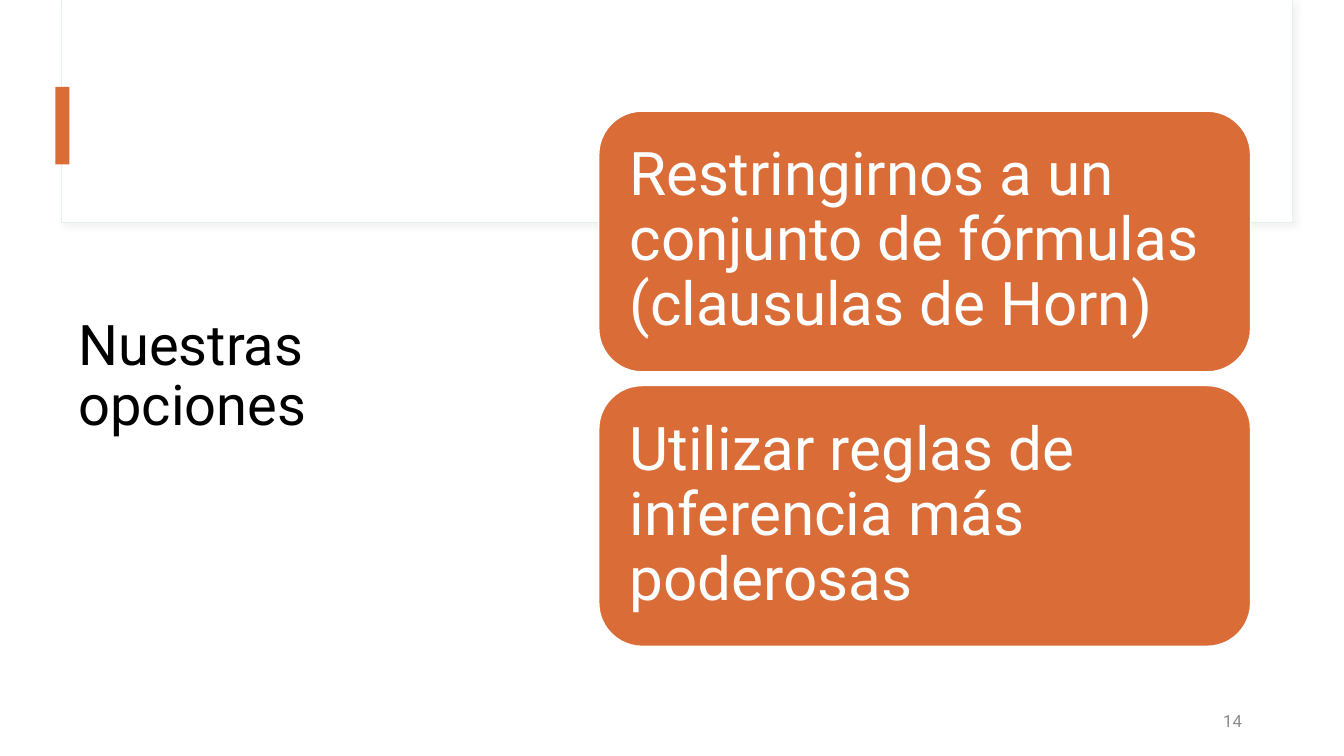
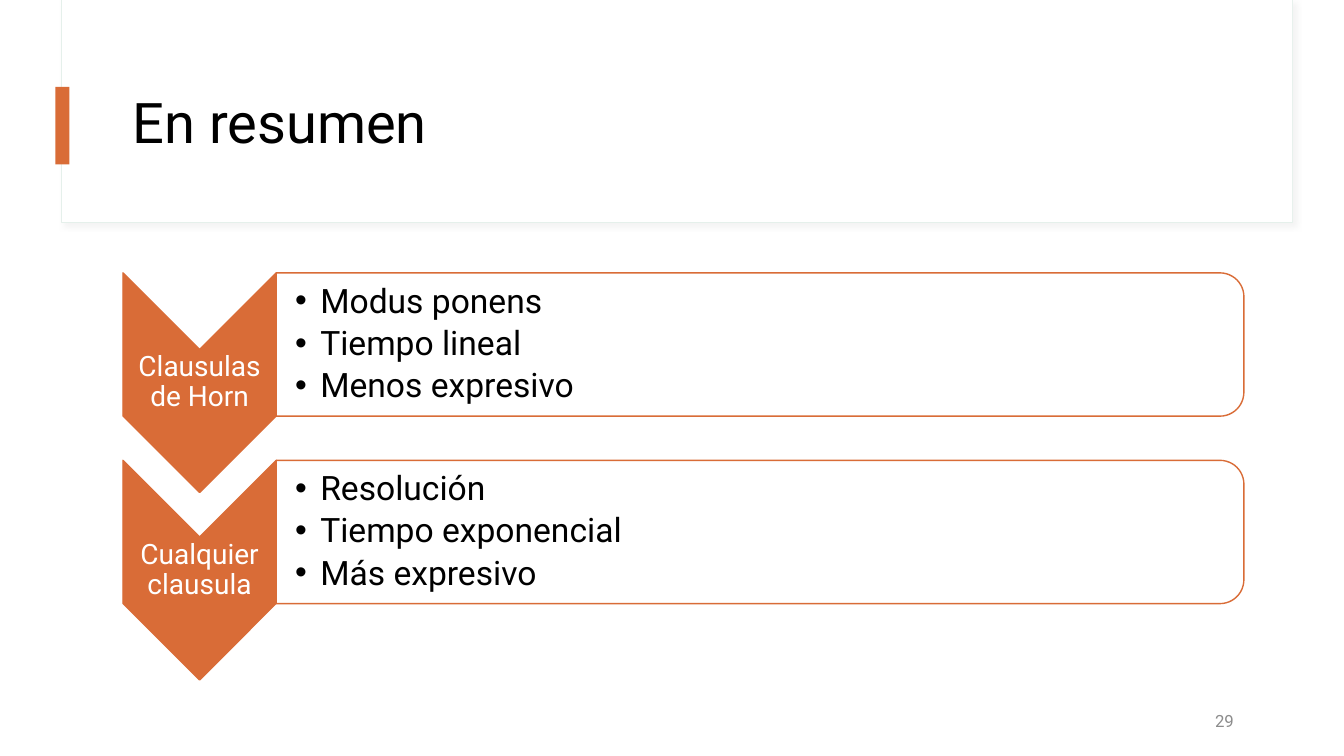
"""Build two slides on Horn clauses and general resolution."""
from lxml.etree import SubElement
from pptx import Presentation
from pptx.dml.color import RGBColor
from pptx.enum.shapes import MSO_SHAPE as SHAPE
from pptx.enum.text import MSO_ANCHOR as ANCHOR, PP_ALIGN as ALIGN
from pptx.oxml.ns import qn
from pptx.util import Inches, Pt

WIDTH, HEIGHT = Inches(13.333), Inches(7.5)
FONT = "Roboto"
ORANGE = RGBColor(0xD9, 0x6C, 0x37)
WHITE = RGBColor(0xFF, 0xFF, 0xFF)
BLACK = RGBColor(0x00, 0x00, 0x00)
GRAY = RGBColor(0x8C, 0x8C, 0x8C)
MINT = RGBColor(0xE5, 0xF0, 0xEB)
SHADOW = "D9D9D9"

OPTIONS = ["Restringirnos a un conjunto de fórmulas (clausulas de Horn)",
           "Utilizar reglas de inferencia más poderosas"]
SUMMARY = [
    ("Clausulas de Horn", ["Modus ponens", "Tiempo lineal", "Menos expresivo"]),
    ("Cualquier clausula", ["Resolución", "Tiempo exponencial", "Más expresivo"]),
]


def place(x, y, w, h):
    return (round(WIDTH * x / 100), round(HEIGHT * y / 100),
            round(WIDTH * w / 100), round(HEIGHT * h / 100))


def add_box(slide, kind, box, fill, line=None, weight=1, turned=False):
    x, y, w, h = place(*box)
    if turned:
        x, y, w, h = x + (w - h) // 2, y + (h - w) // 2, h, w
    sp = slide.shapes.add_shape(kind, x, y, w, h)
    sp.rotation = 90 if turned else 0
    sp.shadow.inherit = False
    sp.fill.solid()
    sp.fill.fore_color.rgb = fill
    if line is None:
        sp.line.fill.background()
    else:
        sp.line.color.rgb = line
        sp.line.width = Pt(weight)
    return sp


def add_shadow(sp):
    effects = sp._element.spPr.find(qn("a:effectLst"))
    outer = SubElement(effects, qn("a:outerShdw"), blurRad=str(Pt(4)),
                       dist=str(Pt(3)), dir="2700000", algn="tl", rotWithShape="0")
    color = SubElement(outer, qn("a:srgbClr"), val=SHADOW)
    SubElement(color, qn("a:alpha"), val="30000")


def add_bullet(p):
    pPr = p._p.get_or_add_pPr()
    pPr.set("marL", str(Inches(0.25)))
    pPr.set("indent", str(-Inches(0.25)))
    SubElement(pPr, qn("a:buFont"), typeface="Arial")
    SubElement(pPr, qn("a:buChar"), char="•")


def add_text(slide, box, lines, size, color, align=ALIGN.LEFT,
             margins=(7.2, 3.6, 7.2, 3.6), spacing=0.9, after=0, bullets=False):
    tf = slide.shapes.add_textbox(*place(*box)).text_frame
    tf.word_wrap = True
    tf.vertical_anchor = ANCHOR.MIDDLE
    tf.margin_left, tf.margin_top, tf.margin_right, tf.margin_bottom = map(Pt, margins)
    for i, line in enumerate(lines):
        p = tf.add_paragraph() if i else tf.paragraphs[0]
        p.alignment = align
        p.line_spacing = spacing
        p.space_after = Pt(after)
        if bullets:
            add_bullet(p)
        r = p.add_run()
        r.text = line
        r.font.name = FONT
        r.font.size = Pt(size)
        r.font.color.rgb = color


def add_page(prs, title, title_box, number, number_right):
    slide = prs.slides.add_slide(prs.slide_layouts[6])
    frame = add_box(slide, SHAPE.RECTANGLE, (4.6, 0, 91.6, 29.45), WHITE, MINT, 0.75)
    add_shadow(frame)
    add_box(slide, SHAPE.RECTANGLE, (4.65, 0, 91.5, 29.33), WHITE)
    add_box(slide, SHAPE.RECTANGLE, (4.12, 11.5, 1.05, 10.25), ORANGE)
    add_text(slide, title_box, [title], 40, BLACK)
    add_text(slide, (number_right - 8.25, 92.67, 8.25, 5.33), [number], 12, GRAY,
             ALIGN.RIGHT, spacing=1)
    return slide


def add_card(slide, row, text):
    box = (44.55, 14.7 + 36.3 * row, 48.5, 34.5)
    add_box(slide, SHAPE.ROUNDED_RECTANGLE, box, ORANGE, WHITE)
    add_text(slide, box, [text], 43, WHITE, margins=(22, 22, 22, 22))


def add_chevron_row(slide, row, label, points):
    left, top, width = 9.15, 36.1 + 24.8 * row, 11.4
    chevron = (left, top, width, 29.05)
    panel = (left + width, top, 72, 18.95)
    add_box(slide, SHAPE.CHEVRON, chevron, ORANGE, ORANGE, turned=True)
    add_text(slide, chevron, [label], 20, WHITE, ALIGN.CENTER, (1, 1, 1, 1))
    add_box(slide, SHAPE.ROUND_2_SAME_RECTANGLE, panel, WHITE, ORANGE, turned=True)
    add_text(slide, panel, points, 24, BLACK, margins=(13.5, 1, 1, 1),
             after=4.2, bullets=True)


def main():
    prs = Presentation()
    prs.slide_width, prs.slide_height = WIDTH, HEIGHT

    options = add_page(prs, "Nuestras opciones", (5.1, 16.93, 29.55, 66), "14", 93.15)
    for row, text in enumerate(OPTIONS):
        add_card(options, row, text)

    summary = add_page(prs, "En resumen", (9.15, 8, 83.4, 17.2), "29", 92.55)
    for row, (label, points) in enumerate(SUMMARY):
        add_chevron_row(summary, row, label, points)

    prs.save("out.pptx")


if __name__ == "__main__":
    main()
